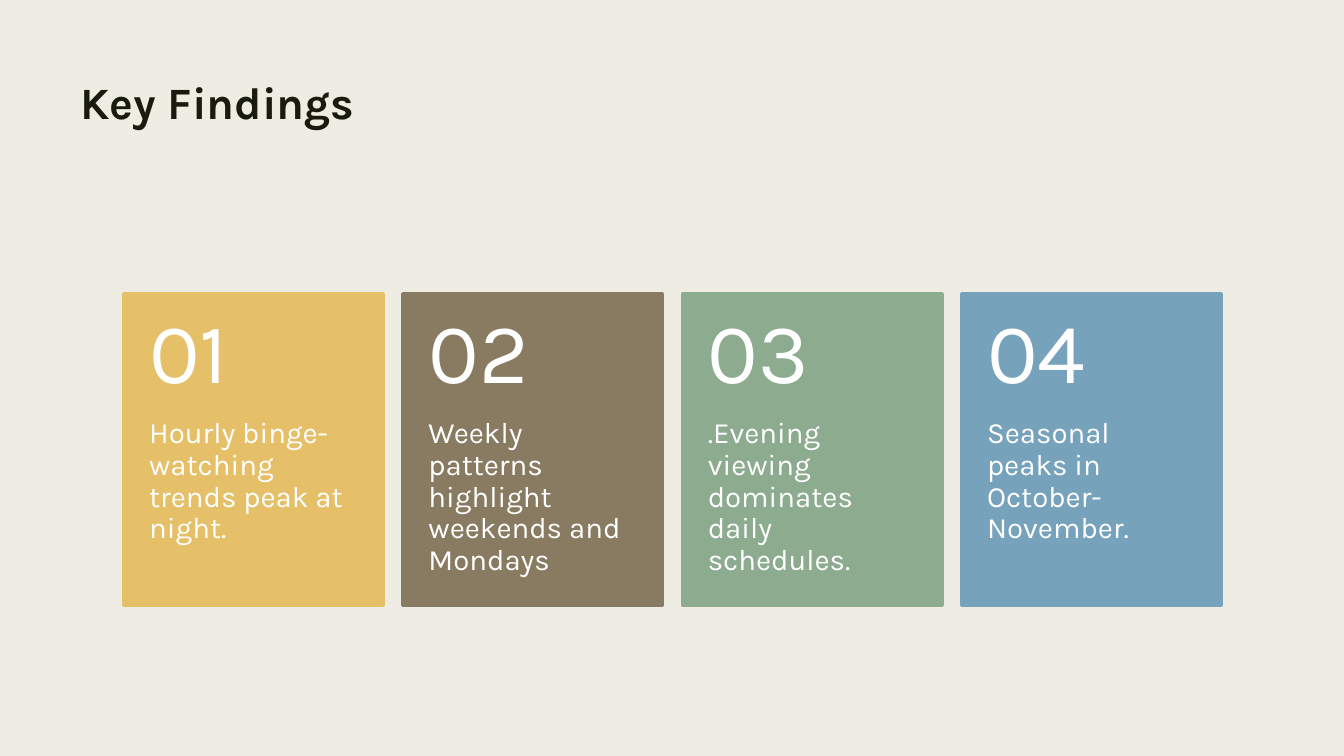
from pptx import Presentation
from pptx import util as u
from pptx.dml.color import RGBColor
from pptx.enum import shapes, text

PX = 9144  # EMU per px, 100 px to the inch
FONT = "Karla"
CREAM = RGBColor(0xEF, 0xED, 0xE3)
INK = RGBColor(0x19, 0x1B, 0x0E)
WHITE = RGBColor(0xFF, 0xFF, 0xFF)
YELLOW = RGBColor(0xE6, 0xC0, 0x69)
BROWN = RGBColor(0x89, 0x7B, 0x61)
GREEN = RGBColor(0x8D, 0xAB, 0x8E)
BLUE = RGBColor(0x77, 0xA2, 0xBB)

FINDINGS = [
    ("Hourly binge-watching trends peak at night.", YELLOW),
    ("Weekly patterns highlight weekends and Mondays", BROWN),
    (".Evening viewing dominates daily schedules.", GREEN),
    ("Seasonal peaks in October-November.", BLUE),
]


def px(*lengths):
    return [u.Emu(n * PX) for n in lengths]


def set_text(tf, words, size, color, anchor, bold=False):
    tf.text = words
    tf.word_wrap = True
    tf.auto_size = text.MSO_AUTO_SIZE.NONE
    tf.vertical_anchor = anchor
    p = tf.paragraphs[0]
    p.alignment = text.PP_ALIGN.LEFT
    p.line_spacing = 0.9
    font = p.runs[0].font
    font.name, font.size, font.bold = FONT, u.Pt(size), bold
    font.color.rgb = color


def add_title(s, words, x, y, w, h):
    title = s.shapes.title
    title.left, title.top, title.width, title.height = px(x, y, w, h)
    set_text(title.text_frame, words, 32, INK, text.MSO_ANCHOR.TOP, bold=True)


def add_label(group, words, size, anchor, box, insets):
    tf = group.shapes.add_textbox(*px(*box)).text_frame
    tf.margin_left, tf.margin_top, tf.margin_right, tf.margin_bottom = px(*insets)
    set_text(tf, words, size, WHITE, anchor)


def add_card(group, number, words, color, x, y, w, h):
    # Panel
    sp = group.shapes.add_shape(shapes.MSO_SHAPE.RECTANGLE, *px(x, y, w, h))
    sp.shadow.inherit = False
    sp.fill.solid()
    sp.fill.fore_color.rgb = color
    sp.line.color.rgb = color
    sp.line.width = u.Pt(2.75)
    # Number above, finding below
    head = h * 2 // 5
    add_label(group, words, 21, text.MSO_ANCHOR.TOP,
              (x, y + head, w, h - head), (25, 0, 25, 36))
    add_label(group, f"{number:02d}", 61, text.MSO_ANCHOR.MIDDLE,
              (x, y, w, head), (25, 18, 25, 18))


def add_cards(s, findings, x, y, w, h, gap=20):
    group = s.shapes.add_group_shape()
    card_w = (w - gap * (len(findings) - 1)) // len(findings)
    for i, (words, color) in enumerate(findings):
        add_card(group, i + 1, words, color, x + i * (card_w + gap), y, card_w, h)


def main():
    prs = Presentation()
    prs.slide_width, prs.slide_height = px(1333, 750)
    s = prs.slides.add_slide(prs.slide_layouts[5])
    s.background.fill.solid()
    s.background.fill.fore_color.rgb = CREAM
    add_title(s, "Key Findings", 70, 75, 1193, 162)
    add_cards(s, FINDINGS, 123, 292, 1088, 308)
    prs.save("out.pptx")


if __name__ == "__main__":
    main()
